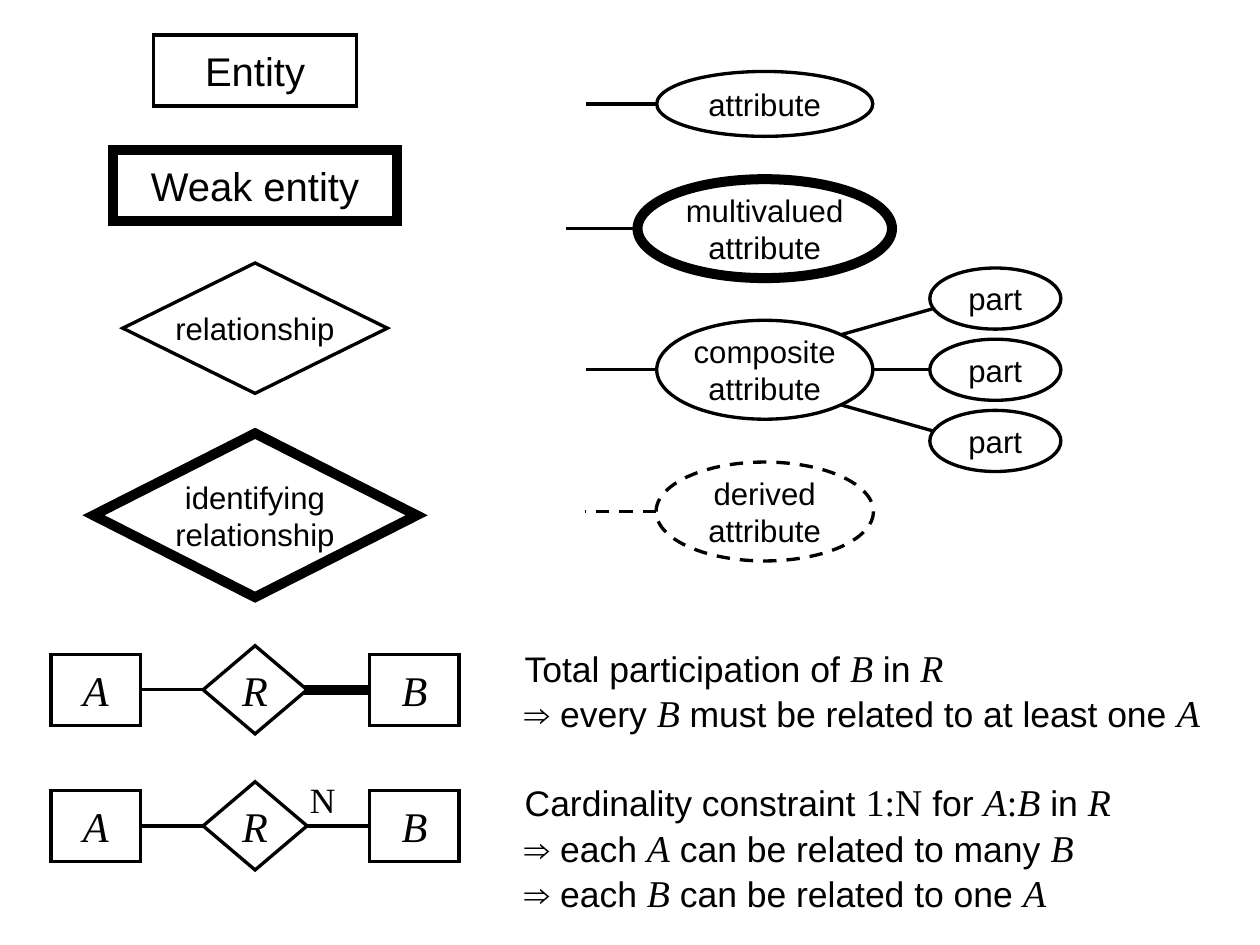
from lxml import etree
from pptx import Presentation
from pptx import util as u
from pptx.dml import color, fill as dml_fill
from pptx.enum import dml, shapes, text
from pptx.oxml import ns

COLORS = {"ink": "000000", "paper": "FFFFFF"}
THIN, THICK = 1.5, 4.5
RECT = shapes.MSO_SHAPE.RECTANGLE
DIAMOND = shapes.MSO_SHAPE.DIAMOND
OVAL = shapes.MSO_SHAPE.OVAL

STYLES = {
    "title": {"name": "Arial", "size": u.Pt(18)},
    "label": {"name": "Arial", "size": u.Pt(14)},
    "body": {"name": "Arial", "size": u.Pt(16)},
    "math": {"name": "Times New Roman", "size": u.Pt(17)},
    "symbol": {"name": "Times New Roman", "size": u.Pt(17), "italic": True},
    "node": {"name": "Times New Roman", "size": u.Pt(19), "italic": True},
    "count": {"name": "Times New Roman", "size": u.Pt(16)},
}

LEFT_X, RIGHT_X, PART_X = 4.05, 12.14, 15.8
CONCEPTS = [
    (RECT, "Entity", "title", 1.12, 3.23, 1.13, THIN),
    (RECT, "Weak entity", "title", 2.95, 4.5, 1.13, THICK),
    (DIAMOND, "relationship", "label", 5.21, 4.2, 2.07, THIN),
    (DIAMOND, "identifying\nrelationship", "label", 8.18, 5.13, 2.6, THICK),
]
ATTRIBUTES = [
    ("attribute", 1.65, 3.43, 1.03, THIN, False),
    ("multivalued\nattribute", 3.63, 4.04, 1.57, THICK, False),
    ("composite\nattribute", 5.87, 3.43, 1.57, THIN, False),
    ("derived attribute", 8.12, 3.45, 1.57, THIN, True),
]
LEAD = 1.13
COMPOSITE_Y, PART_STEP, PART_SIZE = 5.87, 1.13, (2.08, 0.97)
BRANCHES = [
    (13.36, -0.56, 16.54, -1.46),
    (13.87, 0, 14.76, 0),
    (13.36, 0.56, 16.54, 1.46),
]
EXAMPLES = [(10.95, THICK, None), (13.11, THIN, "N")]
NODE_OFFSET, NODE_SIZE, LINK_SIZE = 2.53, (1.42, 1.13), (1.65, 1.4)

EXPLANATIONS = [
    (10.11, 1.7, [
        [("Total participation of ", "body"), ("B", "symbol"), (" in ", "body"), ("R", "symbol")],
        [("⇒ every ", "body"), ("B", "symbol"),
         (" must be related to at least one ", "body"), ("A", "symbol")],
    ]),
    (12.24, 2.44, [
        [("Cardinality constraint ", "body"), ("1:N", "math"), (" for ", "body"),
         ("A", "symbol"), (":", "math"), ("B", "symbol"), (" in ", "body"), ("R", "symbol")],
        [("⇒ each ", "body"), ("A", "symbol"), (" can be related to many ", "body"), ("B", "symbol")],
        [("⇒ each ", "body"), ("B", "symbol"), (" can be related to one ", "body"), ("A", "symbol")],
    ]),
]


def rgb(name):
    return color.RGBColor.from_string(COLORS[name])


def write(paragraph, pieces):
    for content, style in pieces:
        for index, line in enumerate(content.split("\n")):
            if index:
                paragraph.add_line_break()
            run = paragraph.add_run()
            run.text = line
            run.font.color.rgb = rgb("ink")
            for key, value in STYLES[style].items():
                setattr(run.font, key, value)


def outline(item, width, dashed):
    item.line.color.rgb = rgb("ink")
    item.line.width = u.Pt(width)
    if dashed:
        item.line.dash_style = dml.MSO_LINE.DASH
    join = etree.SubElement(item.line._get_or_add_ln(), ns.qn("a:miter"))
    join.set("lim", "800000")


def add_node(parent, kind, content, style, x, y, size, width=THIN, dashed=False):
    across, high = size
    shape = parent.add_shape(kind, u.Cm(x - across / 2), u.Cm(y - high / 2), u.Cm(across), u.Cm(high))
    shape.shadow.inherit = False
    shape.fill.solid()
    shape.fill.fore_color.rgb = rgb("paper")
    outline(shape, width, dashed)
    frame = shape.text_frame
    settings = {"margin_left": 0, "margin_right": 0, "margin_top": 0, "margin_bottom": 0,
                "word_wrap": kind != DIAMOND, "vertical_anchor": text.MSO_ANCHOR.MIDDLE}
    for key, value in settings.items():
        setattr(frame, key, value)
    paragraph = frame.paragraphs[0]
    paragraph.alignment = text.PP_ALIGN.CENTER
    write(paragraph, [(content, style)])


def add_line(parent, x1, y1, x2, y2, width=THIN, dashed=False):
    points = [u.Cm(value) for value in (x1, y1, x2, y2)]
    line = parent.add_connector(shapes.MSO_CONNECTOR.STRAIGHT, *points)
    outline(line, width, dashed)
    etree.SubElement(line._element.spPr, ns.qn("a:effectLst"))


def add_text(parent, x, y, width, height, lines):
    box = parent.add_textbox(u.Cm(x), u.Cm(y), u.Cm(width), u.Cm(height))
    frame = box.text_frame
    frame.word_wrap = True
    frame.auto_size = text.MSO_AUTO_SIZE.SHAPE_TO_FIT_TEXT
    for index, pieces in enumerate(lines):
        write(frame.add_paragraph() if index else frame.paragraphs[0], pieces)


def add_example(parent, y, width, count):
    a_x, b_x = LEFT_X - NODE_OFFSET, LEFT_X + NODE_OFFSET
    half = NODE_SIZE[0] / 2
    add_line(parent, a_x + half, y, LEFT_X - LINK_SIZE[0] / 2, y)
    add_line(parent, LEFT_X, y, b_x - half, y, width)
    add_node(parent, RECT, "A", "node", a_x, y, NODE_SIZE)
    add_node(parent, RECT, "B", "node", b_x, y, NODE_SIZE)
    add_node(parent, DIAMOND, "R", "node", LEFT_X, y, LINK_SIZE)
    if count:
        add_text(parent, 4.67, y - 0.89, 0.69, 0.94, [[(count, "count")]])


def main():
    presentation = Presentation()
    presentation.slide_width, presentation.slide_height = u.Cm(20), u.Cm(15)
    slide = presentation.slides.add_slide(presentation.slide_layouts[6])
    canvas = slide.shapes

    for kind, content, style, y, across, high, width in CONCEPTS:
        add_node(canvas, kind, content, style, LEFT_X, y, (across, high), width)

    for content, y, across, high, width, dashed in ATTRIBUTES:
        edge = RIGHT_X - across / 2
        add_line(canvas, edge, y, edge - LEAD, y, width=THIN, dashed=dashed)
        add_node(canvas, OVAL, content, "label", RIGHT_X, y, (across, high), width, dashed)

    for index, (x1, rise1, x2, rise2) in enumerate(BRANCHES):
        add_line(canvas, x1, COMPOSITE_Y + rise1, x2, COMPOSITE_Y + rise2)
        part_y = COMPOSITE_Y + (index - 1) * PART_STEP
        add_node(canvas, OVAL, "part", "label", PART_X, part_y, PART_SIZE)

    for y, width, count in EXAMPLES:
        add_example(canvas.add_group_shape().shapes, y, width, count)

    for y, height, lines in EXPLANATIONS:
        add_text(canvas, 8.08, y, 11.28, height, lines)

    presentation.save("out.pptx")


if __name__ == "__main__":
    main()
